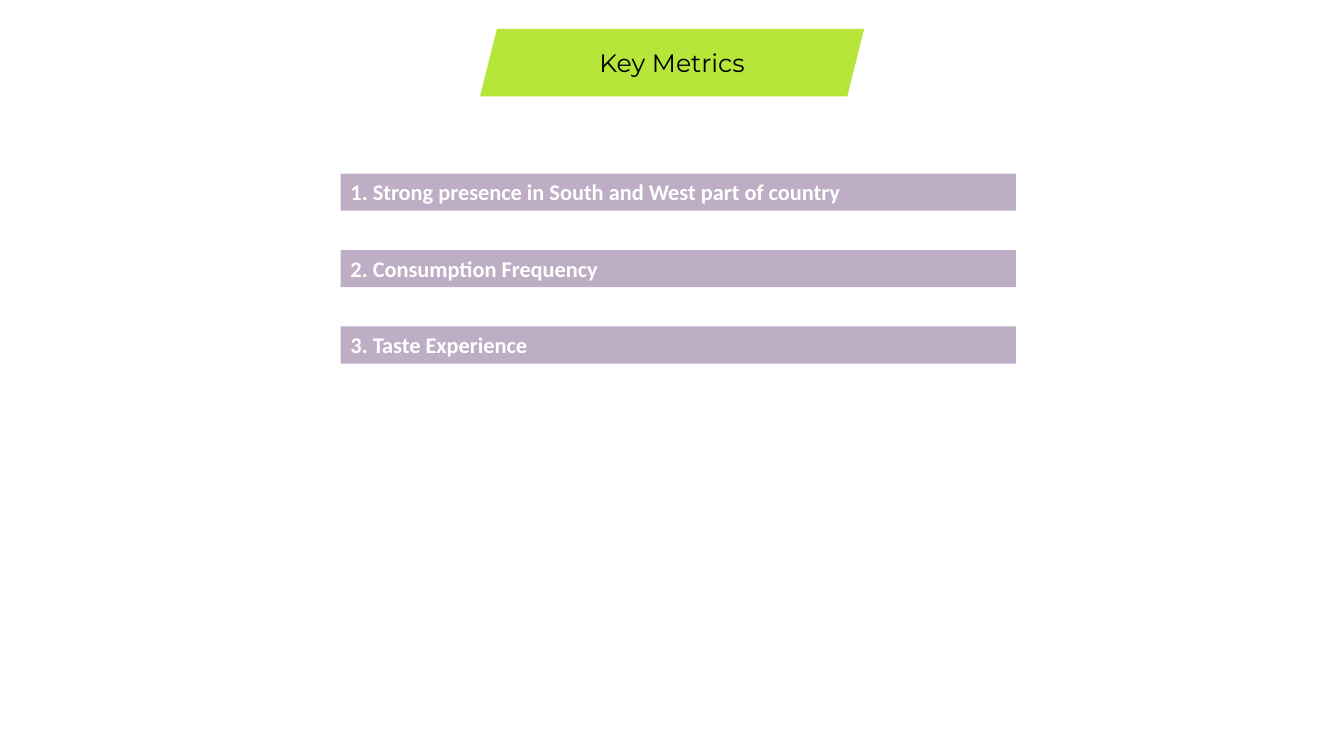
import pptx
import pptx.dml.color
import pptx.enum.shapes
import pptx.enum.text
import pptx.oxml.ns
import pptx.util
from lxml import etree

Pt = pptx.util.Pt
SHAPES = pptx.enum.shapes.MSO_SHAPE
ALIGN = pptx.enum.text.PP_ALIGN
ANCHOR = pptx.enum.text.MSO_ANCHOR
AUTO_SIZE = pptx.enum.text.MSO_AUTO_SIZE

COLORS = {"lime": "B5E639", "purple": "4C2363", "black": "000000", "white": "FFFFFF"}
TITLE_FONT = {"name": "Montserrat", "size": Pt(18), "bold": False}
METRIC_FONT = {"name": "Calibri", "size": Pt(16), "bold": True}

BANNER_BOX = (342.9, 20.7, 274.3, 48.2)
BAR_LEFT, BAR_TOP, BAR_WIDTH, BAR_HEIGHT = 243.3, 124, 482.4, 26.6
BAR_STEP = 54.6
BAR_OPACITY = 37

METRICS = [
    "1. Strong presence in South and West part of country",
    "2. Consumption Frequency",
    "3. Taste Experience",
]


def color(name):
    return pptx.dml.color.RGBColor.from_string(COLORS[name])


def set_attributes(target, values):
    for name, value in values.items():
        setattr(target, name, value)


def write_text(shape, text, font, font_color, align, frame_format):
    frame = shape.text_frame
    frame.text = text
    set_attributes(frame, frame_format)
    paragraph = frame.paragraphs[0]
    paragraph.alignment = align
    set_attributes(paragraph.font, font)
    paragraph.font.color.rgb = color(font_color)


def add_filled_shape(slide, kind, box, fill_color, opacity=100):
    shape = slide.shapes.add_shape(kind, *map(Pt, box))
    shape.shadow.inherit = False
    shape.line.fill.background()
    shape.fill.solid()
    shape.fill.fore_color.rgb = color(fill_color)
    if opacity < 100:
        qualified = pptx.oxml.ns.qn
        fill = shape.element.spPr.find(qualified("a:solidFill"))
        alpha = etree.SubElement(fill[0], qualified("a:alpha"))
        alpha.set("val", str(opacity * 1000))
    return shape


def add_title(slide, text, box):
    title = slide.shapes.title
    banner = add_filled_shape(slide, SHAPES.PARALLELOGRAM, box, "lime")
    # The banner lies behind the title
    title.element.addprevious(banner.element)
    set_attributes(title, dict(zip(("left", "top", "width", "height"), map(Pt, box))))
    write_text(title, text, TITLE_FONT, "black", ALIGN.CENTER, {
        "word_wrap": True, "auto_size": AUTO_SIZE.NONE, "vertical_anchor": ANCHOR.MIDDLE,
    })


def add_metric_bar(slide, text, top):
    box = (BAR_LEFT, top, BAR_WIDTH, BAR_HEIGHT)
    bar = add_filled_shape(slide, SHAPES.RECTANGLE, box, "purple", BAR_OPACITY)
    write_text(bar, text, METRIC_FONT, "white", ALIGN.LEFT, {
        "word_wrap": True, "auto_size": AUTO_SIZE.SHAPE_TO_FIT_TEXT,
        "vertical_anchor": ANCHOR.TOP,
    })


def main():
    presentation = pptx.Presentation()
    presentation.slide_width = Pt(960)
    presentation.slide_height = Pt(540)
    slide = presentation.slides.add_slide(presentation.slide_layouts[5])

    # Title banner
    add_title(slide, "Key Metrics", BANNER_BOX)

    # Metric bars
    for index, metric in enumerate(METRICS):
        add_metric_bar(slide, metric, BAR_TOP + index * BAR_STEP)

    presentation.save("out.pptx")


if __name__ == "__main__":
    main()
